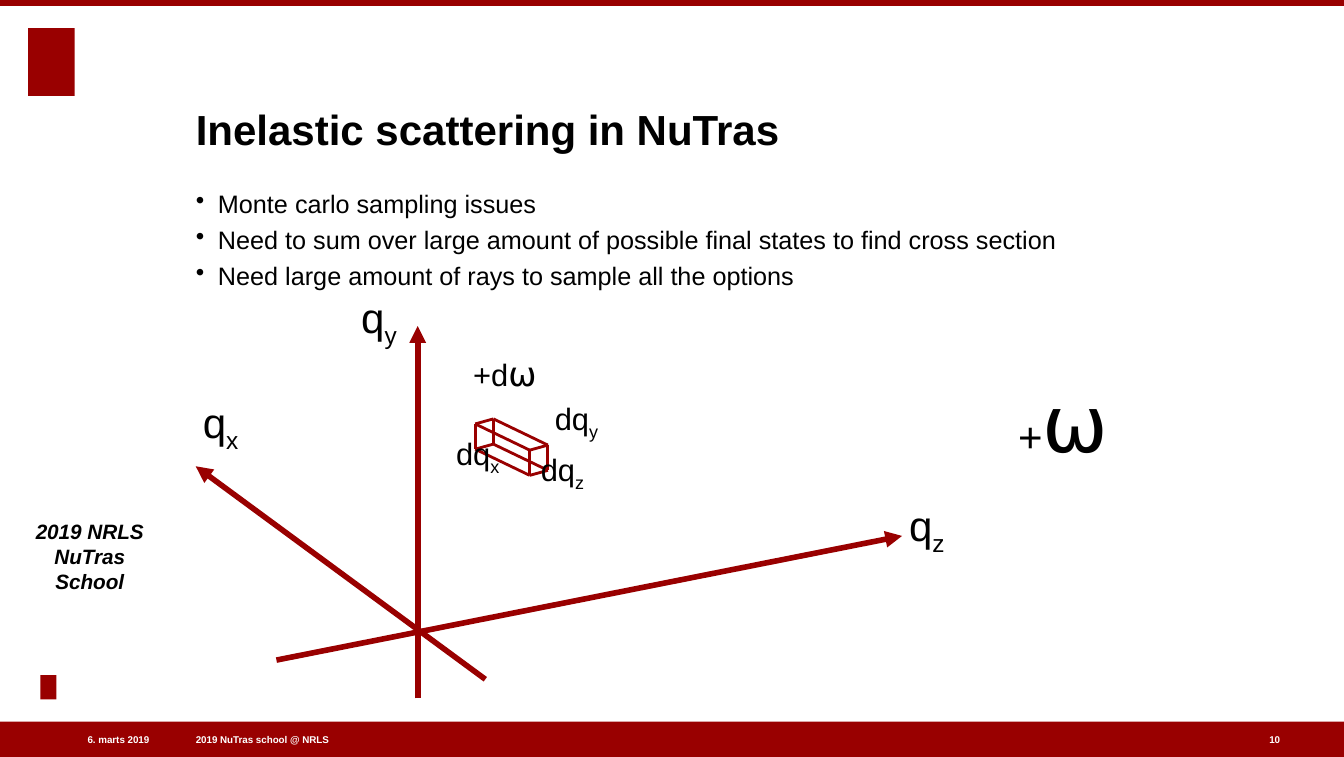
from itertools import combinations, product

from pptx import Presentation
from pptx.dml.color import RGBColor
from pptx.enum.shapes import MSO_CONNECTOR as Link, MSO_SHAPE as Shape
from pptx.enum.text import MSO_ANCHOR as Anchor, MSO_AUTO_SIZE as Auto, PP_ALIGN as Align
from pptx.oxml.ns import qn
from pptx.oxml.xmlchemy import OxmlElement as Node
from pptx.util import Inches, Pt

RED, BLACK, WHITE = "990000", "000000", "FFFFFF"


def write(box, paras, size, color=BLACK, bold=False, italic=False,
          anchor=Anchor.TOP, **para):
    """Fill box with paragraphs, each a list of (text, size or None, baseline)."""
    frame = box.text_frame
    look = dict(word_wrap=True, auto_size=Auto.NONE, vertical_anchor=anchor,
                margin_left=0, margin_right=0, margin_top=0, margin_bottom=0)
    for key, val in look.items():
        setattr(frame, key, val)
    for i, runs in enumerate(paras):
        p = frame.paragraphs[0] if i == 0 else frame.add_paragraph()
        for key, val in para.items():
            setattr(p, key, val)
        for text, own, base in runs:
            run = p.add_run()
            run.text = text
            font = dict(name="Arial", size=Pt(own or size), bold=bold, italic=italic)
            for key, val in font.items():
                setattr(run.font, key, val)
            run.font.color.rgb = RGBColor.from_string(color)
            if base:
                run._r.get_or_add_rPr().set("baseline", str(base * 1000))
    return frame


def draw(start, end, width, arrow=False):
    line = slide.shapes.add_connector(
        Link.STRAIGHT, *[Inches(v) for v in (*start, *end)])
    line.line.color.rgb = RGBColor.from_string(RED)
    line.line.width = Pt(width)
    props = line.element.spPr
    if arrow:
        head = Node("a:tailEnd")
        head.set("type", "triangle")
        props.find(qn("a:ln")).append(head)
    props.append(Node("a:effectLst"))


deck = Presentation()
deck.slide_width, deck.slide_height = Inches(13.32), Inches(7.5)
slide = deck.slides.add_slide(deck.slide_layouts[5])

# Top and bottom bars, and plain marks at the left
for area in [(0, 0, 13.32, 0.06), (0, 7.15, 13.32, 0.35),
             (0.28, 0.28, 0.46, 0.67), (0.4, 6.69, 0.16, 0.24)]:
    bar = slide.shapes.add_shape(Shape.RECTANGLE, *[Inches(v) for v in area])
    bar.shadow.inherit = False
    bar.fill.solid()
    bar.fill.fore_color.rgb = RGBColor.from_string(RED)
    bar.line.fill.background()

# Title
title = slide.shapes.title
for key, val in dict(left=1.94, top=0.47, width=10.18, height=1.06).items():
    setattr(title, key, Inches(val))
write(title, [[("Inelastic scattering in NuTras", None, 0)]], 30, bold=True,
      anchor=Anchor.BOTTOM, alignment=Align.LEFT)

# Footer and side note
small = dict(size=7, color=WHITE, bold=True, anchor=Anchor.MIDDLE)
notes = [
    ("2019 NuTras school @ NRLS", (1.94, 7.26, 3.72, 0.14), small),
    ("6. marts 2019", (0.27, 7.26, 1.21, 0.14), dict(small, alignment=Align.RIGHT)),
    ("10", (12.58, 7.26, 0.14, 0.14), small),
    ("2019 NRLS NuTras School", (0.34, 5.09, 1.1, 0.79),
     dict(size=14.8, bold=True, italic=True, anchor=Anchor.BOTTOM,
          alignment=Align.CENTER)),
]
for text, area, style in notes:
    box = slide.shapes.add_textbox(*[Inches(v) for v in area])
    write(box, [[(text, None, 0)]], **style)

# Bullets
points = [
    "Monte carlo sampling issues",
    "Need to sum over large amount of possible final states to find cross section",
    "Need large amount of rays to sample all the options",
]
body = slide.shapes.add_textbox(Inches(1.94), Inches(1.87), Inches(10.18), Inches(4.97))
frame = write(body, [[(text, None, 0)] for text in points], 18, space_before=Pt(4))
for p in frame.paragraphs:
    props = p._p.get_or_add_pPr()
    props.set("marL", str(Inches(0.22)))
    props.set("indent", str(-Inches(0.22)))
    mark = Node("a:buChar")
    mark.set("char", "•")
    props.append(mark)

# Axes
for start, end in [((2.74, 6.54), (8.94, 5.31)),
                   ((4.81, 6.73), (1.94, 4.62)),
                   ((4.14, 6.92), (4.14, 3.23))]:
    draw(start, end, 4, arrow=True)

# Volume element: join the corners that differ in one direction only
origin = (4.71, 4.2)
sides = [(0.54, 0.26), (0.18, -0.05), (0, 0.25)]
for one, two in combinations(product((0, 1), repeat=3), 2):
    if sum(a != b for a, b in zip(one, two)) == 1:
        ends = [[origin[k] + sum(n * side[k] for n, side in zip(corner, sides))
                 for k in (0, 1)] for corner in (one, two)]
        draw(*ends, 2)

# Labels
labels = [
    (9.01, 4.95, 30, ("q", None, 0), ("z", None, -25)),
    (2.01, 3.93, 30, ("q", None, 0), ("x", None, -25)),
    (3.58, 2.89, 30, ("q", None, 0), ("y", None, -25)),
    (10.09, 3.71, 30, ("+", None, 0), ("⍵", 56, 0)),
    (5.5, 3.96, 22, ("dq", None, 0), ("y", None, -25)),
    (4.52, 4.31, 22, ("dq", None, 0), ("x", None, -25)),
    (5.36, 4.47, 22, ("dq", None, 0), ("z", None, -25)),
    (4.69, 3.5, 22, ("+d", None, 0), ("⍵", 24, 0)),
]
for left, top, size, *runs in labels:
    wide, high = (2.6, 1.07) if runs[1][1] == 56 else (0.74, 0.63 if size == 30 else 0.5)
    box = slide.shapes.add_textbox(*[Inches(v) for v in (left, top, wide, high)])
    write(box, [runs], size, space_before=Pt(9))

deck.save("out.pptx")
